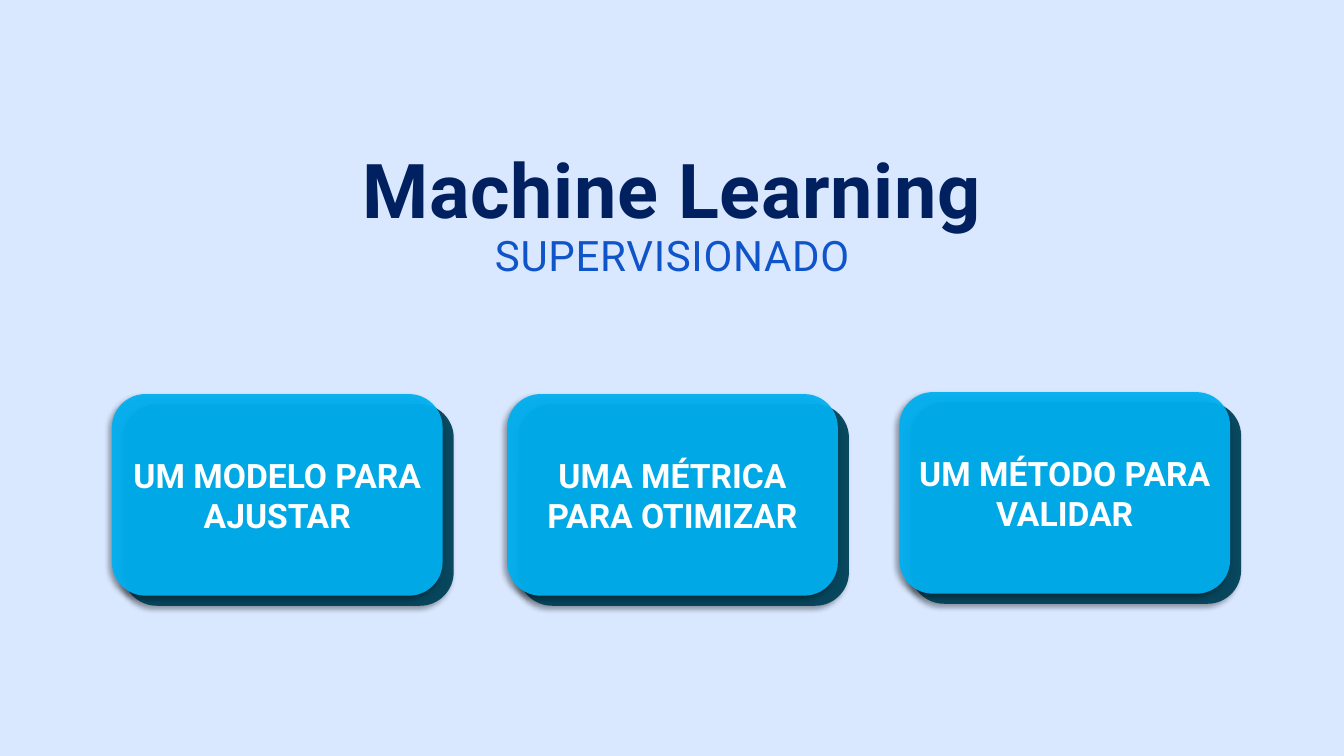
from lxml import etree
from pptx import Presentation
from pptx.dml.color import RGBColor
from pptx.enum.shapes import MSO_SHAPE
from pptx.enum.text import MSO_ANCHOR, PP_ALIGN
from pptx.oxml import parse_xml
from pptx.oxml.ns import nsdecls, qn
from pptx.util import Inches, Pt

BACKGROUND = RGBColor(0xD9, 0xE8, 0xFF)
NAVY = RGBColor(0x00, 0x20, 0x60)
BLUE = RGBColor(0x0F, 0x54, 0xC9)
CARD_BLUE = RGBColor(0x00, 0xB0, 0xF0)
CARD_DARK = RGBColor(0x00, 0x41, 0x58)
WHITE = RGBColor(0xFF, 0xFF, 0xFF)
FONT = "Roboto"

SHADOW = (
    f'<a:effectLst {nsdecls("a")}>'
    '<a:outerShdw blurRad="50800" dist="38100" dir="8100000" algn="tr" rotWithShape="0">'
    '<a:srgbClr val="000000"><a:alpha val="40000"/></a:srgbClr>'
    '</a:outerShdw></a:effectLst>'
)


def add_card(page, left, top, color):
    """Add a slightly transparent rounded card with a soft shadow."""
    card = page.shapes.add_shape(
        MSO_SHAPE.ROUNDED_RECTANGLE, Inches(left), Inches(top), Inches(3.28), Inches(2)
    )
    card.fill.solid()
    card.fill.fore_color.rgb = color
    card.line.fill.background()
    properties = card.element.spPr
    color_node = properties.find(qn("a:solidFill")).find(qn("a:srgbClr"))
    etree.SubElement(color_node, qn("a:alpha")).set("val", "94000")
    properties.append(parse_xml(SHADOW))
    return card


deck = Presentation()
deck.slide_width = Inches(13.33)
deck.slide_height = Inches(7.5)
page = deck.slides.add_slide(deck.slide_layouts[5])
page.background.fill.solid()
page.background.fill.fore_color.rgb = BACKGROUND

# Title in two lines
title = page.shapes.title
title.left, title.top = Inches(0.92), Inches(0.15)
title.width, title.height = Inches(11.5), Inches(3.33)
frame = title.text_frame
frame.word_wrap = True
frame.vertical_anchor = MSO_ANCHOR.BOTTOM
frame.margin_bottom = Inches(0.7)
para = frame.paragraphs[0]
para.alignment = PP_ALIGN.CENTER
para.line_spacing = 0.9
for text, size, color, bold in [
    ("Machine Learning", 54, NAVY, True),
    ("SUPERVISIONADO", 30, BLUE, False),
]:
    if para.runs:
        para.add_line_break()
    span = para.add_run()
    span.text = text
    span.font.name = FONT
    span.font.size = Pt(size)
    span.font.color.rgb = color
    span.font.bold = bold
    span.font._element.set("spc", "50")

# Three cards, each over a dark offset card
for left, top, text in [
    (1.11, 3.91, "UM MODELO PARA AJUSTAR"),
    (5.03, 3.91, "UMA MÉTRICA PARA OTIMIZAR"),
    (8.92, 3.89, "UM MÉTODO PARA VALIDAR"),
]:
    add_card(page, left + 0.11, top + 0.1, CARD_DARK)
    card = add_card(page, left, top, CARD_BLUE)
    card.text_frame.vertical_anchor = MSO_ANCHOR.MIDDLE
    para = card.text_frame.paragraphs[0]
    para.text = text
    para.alignment = PP_ALIGN.CENTER
    para.font.name = FONT
    para.font.size = Pt(24)
    para.font.bold = True
    para.font.color.rgb = WHITE

deck.save("out.pptx")
